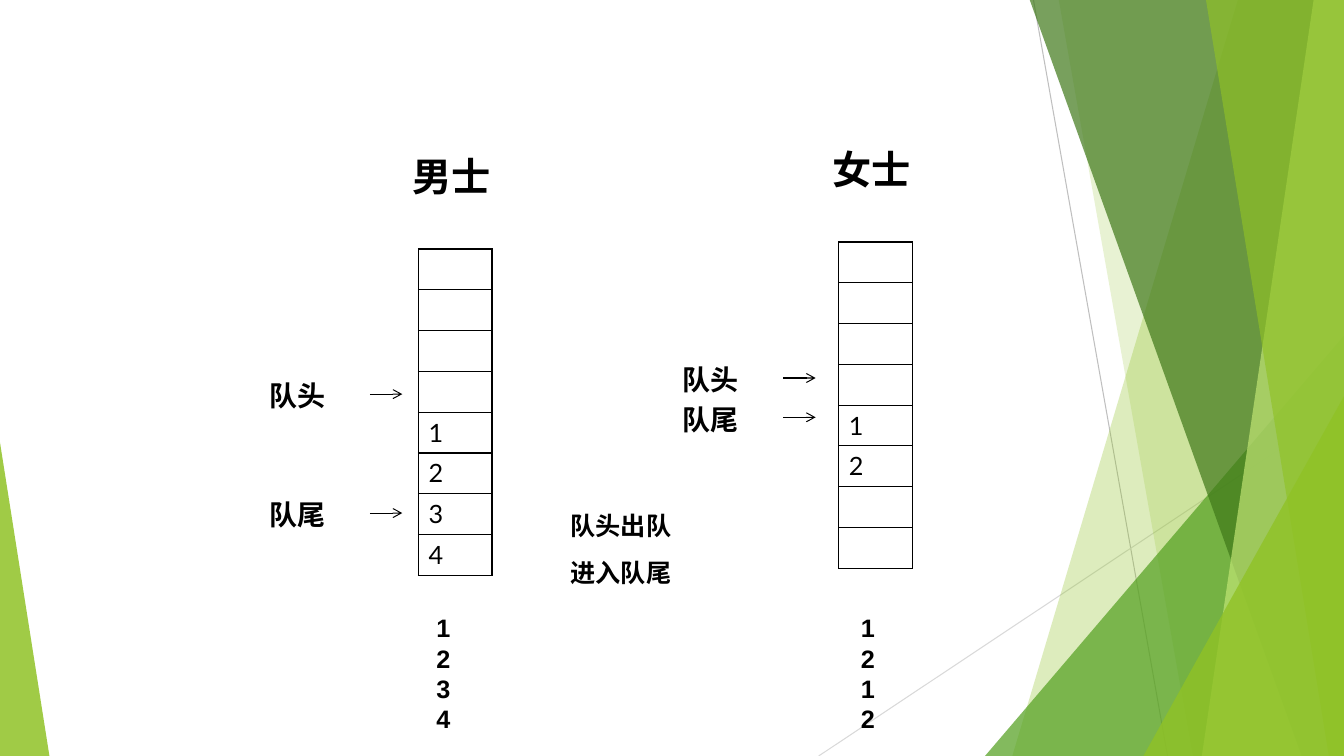
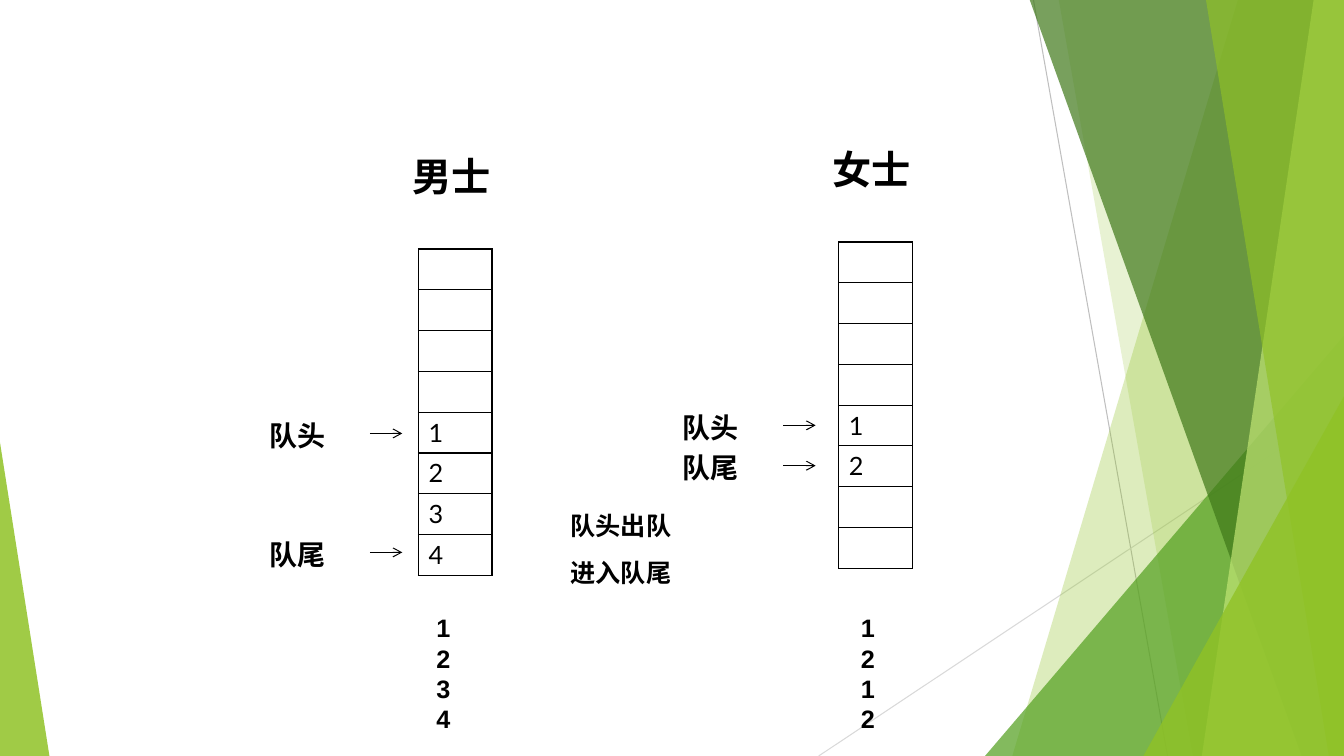
import pptx
import pptx.dml.color
import pptx.enum.shapes
import pptx.enum.text
import pptx.oxml
import pptx.oxml.ns
import pptx.util
from lxml import etree

Inches = pptx.util.Inches
Pt = pptx.util.Pt
qn = pptx.oxml.ns.qn

COLORS = {
    "ink": "000000",
    "dark line": "BFBFBF",
    "light line": "D9D9D9",
    "lime": "90C226",
    "pale lime": "C0E474",
    "green": "54A021",
    "dark green": "3F7819",
}
WIDTH, HEIGHT = 13.33, 7.5


def add_line(slide, start, end, color):
    line = slide.shapes.add_connector(
        pptx.enum.shapes.MSO_CONNECTOR.STRAIGHT,
        *[Inches(value) for value in (*start, *end)])
    line.line.color.rgb = pptx.dml.color.RGBColor.from_string(COLORS[color])
    line.line.width = Pt(0.75)
    etree.SubElement(line.element.spPr, qn("a:effectLst"))
    return line


def add_text(slide, text, box, size, wrap=True):
    """Add a bold text box with one paragraph per line of text."""
    frame = slide.shapes.add_textbox(*[Inches(value) for value in box]).text_frame
    frame.word_wrap = wrap
    frame.auto_size = pptx.enum.text.MSO_AUTO_SIZE.SHAPE_TO_FIT_TEXT
    frame.text = text
    for paragraph in frame.paragraphs:
        paragraph.font.name = "Arial"
        paragraph.font.size = Pt(size)
        paragraph.font.bold = True
        paragraph.font.color.rgb = pptx.dml.color.RGBColor.from_string(COLORS["ink"])


deck = pptx.Presentation()
deck.slide_width = Inches(WIDTH)
deck.slide_height = Inches(HEIGHT)
blank = deck.slide_layouts[6]
for placeholder in list(blank.placeholders):
    blank.shapes.element.remove(placeholder.element)
slides = [deck.slides.add_slide(blank) for _ in range(2)]

# Backdrop: drawn once, then moved to the layout that both slides use
backdrop = slides[0]
add_line(backdrop, (10.25, 0), (11.58, HEIGHT), "dark line")
add_line(backdrop, (WIDTH, 4.03), (8.12, HEIGHT), "light line")

# A band has the x of its slanted left edge (top, bottom);
# a triangle has its box and the place of its tip.
facets = [
    ("band", (12.28, 10.04), "lime", 30),
    ("band", (10.5, 11.83), "lime", 20),
    ("triangle", (9.77, 3.33, 3.56, 4.17, 1), "green", 72),
    ("band", (10.21, 12.91), "dark green", 70),
    ("band", (13.03, 11.92), "pale lime", 70),
    ("band", (11.96, 13.18), "lime", 65),
    ("triangle", (11.34, 3.93, 1.99, 3.57, 1), "lime", 80),
    ("triangle", (0, 4.39, 0.49, 3.11, 0), "lime", 85),
]
for kind, geometry, color, opacity in facets:
    if kind == "band":
        top_x, bottom_x = geometry
        top_y = -0.01
        outline = backdrop.shapes.build_freeform(Inches(top_x), Inches(top_y))
        corners = [(WIDTH, top_y), (WIDTH, HEIGHT), (bottom_x, HEIGHT)]
        outline.add_line_segments([(Inches(x), Inches(y)) for x, y in corners])
        facet = outline.convert_to_shape()
    else:
        *box, tip = geometry
        facet = backdrop.shapes.add_shape(
            pptx.enum.shapes.MSO_SHAPE.ISOSCELES_TRIANGLE,
            *[Inches(value) for value in box])
        facet.adjustments[0] = tip
    facet.shadow.inherit = False
    facet.line.fill.background()
    facet.fill.solid()
    facet.fill.fore_color.rgb = pptx.dml.color.RGBColor.from_string(COLORS[color])
    fill_color = facet.element.spPr.find(qn("a:solidFill")).find(qn("a:srgbClr"))
    etree.SubElement(fill_color, qn("a:alpha"), val=str(opacity * 1000))

for part in list(backdrop.shapes):
    blank.shapes.element.append(part.element)

# Queues
ROWS, ROW_HEIGHT, FIRST_FILLED, CELL_WIDTH = 8, 0.405, 4, 0.73
queues = [
    {"left": 8.32, "top": 2.4, "numbers": "12", "arrow": 7.77,
     "name": "女士", "name box": (8.16, 1.39, 1.02, 0.57), "wrap": True,
     "order": "1\n2\n1\n2", "order left": 8.44},
    {"left": 4.15, "top": 2.47, "numbers": "1234", "arrow": 3.67,
     "name": "男士", "name box": (3.99, 1.46, 0.99, 0.57), "wrap": False,
     "order": "1\n2\n3\n4", "order left": 4.23},
]
# Heights of the head and tail pointers, per slide and queue
pointer_steps = [
    [(3.75, 4.14), (3.91, 5.09)],
    [(4.22, 4.62), (4.3, 5.48)],
]

for slide, pointer_heights in zip(slides, pointer_steps):
    for queue, heights in zip(queues, pointer_heights):
        cells = slide.shapes.add_table(
            ROWS, 1, Inches(queue["left"]), Inches(queue["top"]),
            Inches(CELL_WIDTH), Inches(ROWS * ROW_HEIGHT)).table
        cells.first_row = False
        cells.horz_banding = False
        for row in range(ROWS):
            cell = cells.cell(row, 0)
            place = row - FIRST_FILLED
            if 0 <= place < len(queue["numbers"]):
                cell.text = queue["numbers"][place]
            font = cell.text_frame.paragraphs[0].font
            font.name = "Lato"
            font.size = Pt(18)
            font.color.rgb = pptx.dml.color.RGBColor.from_string(COLORS["ink"])
            borders = cell._tc.get_or_add_tcPr()
            for side in ("a:lnL", "a:lnR", "a:lnT", "a:lnB"):
                border = etree.SubElement(borders, qn(side), w=str(Pt(1)))
                paint = etree.SubElement(border, qn("a:solidFill"))
                etree.SubElement(paint, qn("a:srgbClr"), val=COLORS["ink"])
            cell.fill.background()

        add_text(slide, queue["name"], queue["name box"], 28, queue["wrap"])
        add_text(slide, queue["order"], (queue["order left"], 6.03, 0.47, 1.31), 18)

        for label, y in zip(("队头", "队尾"), heights):
            x = queue["arrow"]
            pointer = add_line(slide, (x, y), (x + 0.32, y), "ink")
            etree.SubElement(pointer.line._get_or_add_ln(), qn("a:tailEnd"), type="arrow")
            add_text(slide, label, (x - 1.1, y - 0.2, 0.87, 0.44), 20)

    add_text(slide, "队头出队", (5.56, 5.01, 1.53, 0.4), 18)
    add_text(slide, "进入队尾", (5.56, 5.48, 1.42, 0.4), 18)

deck.save("out.pptx")
